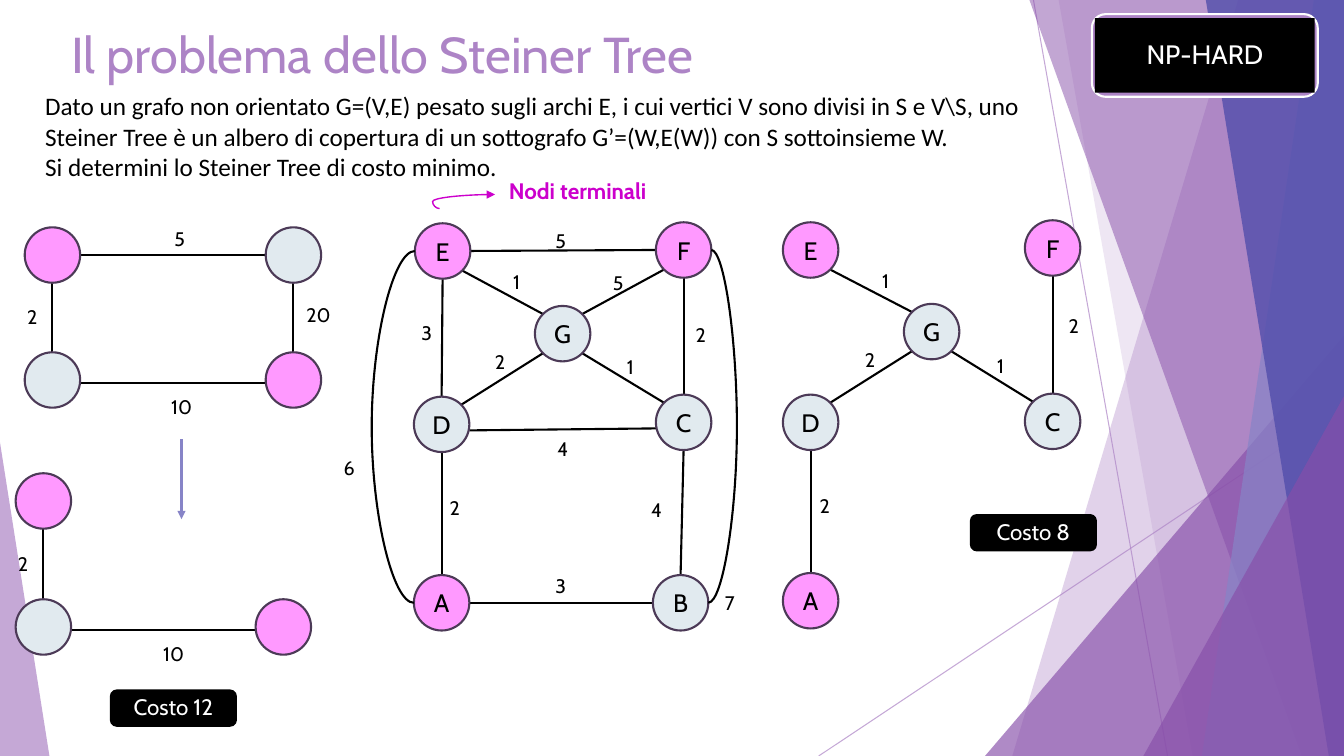
from dataclasses import dataclass
from math import hypot

from lxml import etree
from pptx import Presentation
from pptx.dml.color import RGBColor
from pptx.enum.shapes import MSO_CONNECTOR, MSO_SHAPE
from pptx.enum.text import MSO_ANCHOR, PP_ALIGN
from pptx.oxml.ns import qn
from pptx.util import Inches, Pt

STRAIGHT, CURVE = MSO_CONNECTOR.STRAIGHT, MSO_CONNECTOR.CURVE
OVAL, RECTANGLE = MSO_SHAPE.OVAL, MSO_SHAPE.RECTANGLE
ROUNDED, TRIANGLE = MSO_SHAPE.ROUNDED_RECTANGLE, MSO_SHAPE.ISOSCELES_TRIANGLE
LEFT, CENTER = PP_ALIGN.LEFT, PP_ALIGN.CENTER
TOP, MIDDLE = MSO_ANCHOR.TOP, MSO_ANCHOR.MIDDLE


@dataclass(frozen=True)
class Theme:
    lilac: str = "AD84C6"
    purple: str = "874EA9"
    periwinkle: str = "8784C7"
    indigo: str = "524EAB"
    terminal: str = "FF99FF"
    optional: str = "E1EAEF"
    rim: str = "4C3A57"
    accent: str = "CC00CC"
    black: str = "000000"
    white: str = "FFFFFF"
    font: str = "Cabin"
    body_font: str = "Calibri"
    title: int = 36
    hard: int = 19
    body: int = 18
    small: int = 16
    weight: int = 14


THEME = Theme()
WIDTH, HEIGHT, RADIUS = 13.33, 7.5, 0.275

# Nodes: name -> centre; edges: start, end, weight, label left, label top, drop
SQUARE = {"TL": (0.52, 2.53), "TR": (2.91, 2.53), "BL": (0.52, 3.77), "BR": (2.91, 3.77)}
SQUARE_EDGES = [
    ("TL", "TR", "5", 1.63, 2.2, 0), ("TL", "BL", "2", 0.17, 2.98, 0),
    ("TR", "BR", "20", 2.94, 2.96, 0), ("BL", "BR", "10", 1.6, 3.87, 0.03)]
SQUARE_TREE = {"TL": (0.43, 4.97), "BL": (0.43, 6.22), "BR": (2.81, 6.22)}
SQUARE_TREE_EDGES = [("TL", "BL", "2", 0.08, 5.43, 0), ("BL", "BR", "10", 1.52, 6.32, 0.03)]
GRAPH = {"E": (4.39, 2.49), "F": (6.78, 2.48), "G": (5.58, 3.31), "D": (4.38, 4.21),
         "C": (6.78, 4.19), "A": (4.38, 5.98), "B": (6.75, 5.98)}
GRAPH_EDGES = [
    ("E", "F", "5", 5.41, 2.22, 0), ("E", "G", "1", 4.99, 2.63, 0),
    ("F", "G", "5", 5.98, 2.64, 0), ("E", "D", "3", 4.08, 3.13, 0),
    ("F", "C", "2", 6.8, 3.15, 0), ("G", "D", "2", 4.81, 3.42, 0),
    ("G", "C", "1", 6.12, 3.47, 0), ("D", "C", "4", 5.43, 4.29, 0.06),
    ("D", "A", "2", 4.36, 4.87, 0), ("C", "B", "4", 6.36, 4.89, 0),
    ("A", "B", "3", 5.41, 5.64, 0)]
GRAPH_TREE = {"E": (8.04, 2.48), "F": (10.44, 2.46), "G": (9.24, 3.29),
              "D": (8.04, 4.19), "C": (10.44, 4.18), "A": (8.04, 5.96)}
GRAPH_TREE_EDGES = [
    ("E", "G", "1", 8.65, 2.62, 0), ("F", "C", "2", 10.5, 3.07, 0),
    ("G", "D", "2", 8.48, 3.4, 0), ("G", "C", "1", 9.79, 3.46, 0),
    ("D", "A", "2", 8.03, 4.85, 0)]
TERMINALS = {"E", "F", "A", "TL", "BR"}


def set_alpha(element, percent):
    color = next(element.iter(qn("a:srgbClr")))
    etree.SubElement(color, qn("a:alpha")).set("val", str(percent * 1000))


def paint(shape, fill, line=None, width=1.5, alpha=100):
    shape.shadow.inherit = False
    shape.fill.solid()
    shape.fill.fore_color.rgb = RGBColor.from_string(fill)
    if alpha < 100:
        set_alpha(shape.fill._xPr, alpha)
    if line:
        shape.line.color.rgb = RGBColor.from_string(line)
        shape.line.width = Pt(width)
    else:
        shape.line.fill.background()


def write(shape, text, size, color=THEME.black, font=THEME.font, bold=False,
          align=LEFT, anchor=TOP, wrap=True, spacing=None):
    frame = shape.text_frame
    frame.word_wrap = wrap
    frame.vertical_anchor = anchor
    frame.text = text
    for para in frame.paragraphs:
        para.alignment = align
        para.line_spacing = spacing
        for span in para.runs:
            span.font.size, span.font.name, span.font.bold = Pt(size), font, bold
            span.font.color.rgb = RGBColor.from_string(color)


def add_text(page, box, text, size, **style):
    write(page.shapes.add_textbox(*map(Inches, box)), text, size, **style)


def add_line(page, start, end, color=THEME.black, width=1.5, kind=STRAIGHT,
             arrow=False, alpha=100):
    line = page.shapes.add_connector(kind, *map(Inches, (*start, *end)))
    line.line.color.rgb = RGBColor.from_string(color)
    line.line.width = Pt(width)
    properties = line._element.spPr
    if alpha < 100:
        set_alpha(properties, alpha)
    if arrow:
        etree.SubElement(line.line._get_or_add_ln(), qn("a:tailEnd")).set("type", "triangle")
    etree.SubElement(properties, qn("a:effectLst"))
    return line


def add_curve(page, start, end, bulge_x, **style):
    """Curved line whose middle reaches bulge_x."""
    line = add_line(page, start, end, kind=CURVE, **style)
    share = (bulge_x - start[0]) / (end[0] - start[0])
    guides = line._element.spPr.find(qn("a:prstGeom")).get_or_add_avLst()
    guide = etree.SubElement(guides, qn("a:gd"))
    guide.set("name", "adj1")
    guide.set("fmla", f"val {round(share * 100000)}")


def add_band(page, points, color, alpha):
    corners = [(Inches(x), Inches(y)) for x, y in points]
    builder = page.shapes.build_freeform(*corners[0])
    builder.add_line_segments(corners[1:], close=True)
    paint(builder.convert_to_shape(), color, alpha=alpha)


def add_triangle(page, box, apex, color, alpha):
    triangle = page.shapes.add_shape(TRIANGLE, *map(Inches, box))
    triangle.adjustments[0] = apex
    paint(triangle, color, alpha=alpha)


def add_backdrop(page):
    for start, end in [((10.25, 0), (11.58, HEIGHT)), ((WIDTH, 4.03), (8.12, HEIGHT))]:
        add_line(page, start, end, THEME.lilac, 0.75, alpha=70)

    def band(top, bottom, color, alpha):
        corners = [(top, 0), (WIDTH, 0), (WIDTH, HEIGHT), (bottom, HEIGHT)]
        add_band(page, corners, color, alpha)

    band(12.28, 10.04, THEME.lilac, 36)
    band(10.5, 11.83, THEME.lilac, 20)
    add_triangle(page, (9.77, 3.33, 3.56, 4.17), 1, THEME.purple, 66)
    band(10.21, 12.91, THEME.purple, 50)
    band(13.03, 11.92, THEME.periwinkle, 70)
    band(11.96, 13.18, THEME.indigo, 80)
    add_triangle(page, (11.34, 3.93, 1.99, 3.57), 1, THEME.purple, 66)
    add_triangle(page, (0, 4.39, 0.49, 3.11), 0, THEME.lilac, 70)


def direction(delta):
    return 0 if abs(delta) < 0.5 else (1 if delta > 0 else -1)


def rim_point(center, across, down):
    reach = RADIUS / hypot(across, down)
    return center[0] + across * reach, center[1] + down * reach


def add_weight(page, text, left, top):
    add_text(page, (left, top, 0.69, 0.34), text, THEME.weight)


def add_graph(page, nodes, edges, named=True):
    for first, last, weight, left, top, drop in edges:
        across, down = (direction(b - a) for a, b in zip(nodes[first], nodes[last]))
        start = rim_point(nodes[first], across, down)
        end = rim_point(nodes[last], -across, -down)
        add_line(page, (start[0], start[1] + drop), (end[0], end[1] + drop))
        add_weight(page, weight, left, top)
    for name, (x, y) in nodes.items():
        box = (x - RADIUS, y - RADIUS, 2 * RADIUS, 2 * RADIUS)
        node = page.shapes.add_shape(OVAL, *map(Inches, box))
        paint(node, THEME.terminal if name in TERMINALS else THEME.optional, THEME.rim)
        if named:
            write(node, name, THEME.body, align=CENTER, anchor=MIDDLE)


def add_badge(page, outer, inner, text, size, fill=THEME.black, line=THEME.black):
    paint(page.shapes.add_shape(ROUNDED, *map(Inches, outer)), fill, line)
    plate = page.shapes.add_shape(RECTANGLE, *map(Inches, inner))
    paint(plate, THEME.black)
    frame = plate.text_frame
    frame.margin_left = frame.margin_right = Inches(0.08)
    frame.margin_top = frame.margin_bottom = Inches(0.04)
    write(plate, text, size, THEME.white, align=CENTER, anchor=MIDDLE, spacing=0.9)


def main():
    deck = Presentation()
    deck.slide_width, deck.slide_height = Inches(WIDTH), Inches(HEIGHT)
    page = deck.slides.add_slide(deck.slide_layouts[6])
    add_backdrop(page)

    # Title and definition
    add_text(page, (0.61, 0.18, 9.4, 1.44), "Il problema dello Steiner Tree",
             THEME.title, color=THEME.lilac)
    add_text(page, (0.35, 0.85, 10.07, 1.01),
             "Dato un grafo non orientato G=(V,E) pesato sugli archi E, i cui vertici V sono "
             "divisi in S e V\\S, uno Steiner Tree è un albero di copertura di un sottografo "
             "G’=(W,E(W)) con S sottoinsieme W.\nSi determini lo Steiner Tree di costo minimo.",
             THEME.body, font=THEME.body_font)

    # Square example and its tree
    add_graph(page, SQUARE, SQUARE_EDGES, named=False)
    add_line(page, (1.8, 4.36), (1.8, 5.15), THEME.periwinkle, arrow=True)
    add_graph(page, SQUARE_TREE, SQUARE_TREE_EDGES, named=False)

    # Seven-node example, its outer arcs and its tree
    add_graph(page, GRAPH, GRAPH_EDGES)
    for first, last, side, bulge_x, weight, left, top in [
            ("E", "A", -1, 3.68, "6", 3.31, 4.47), ("F", "B", 1, 7.31, "7", 7.09, 5.81)]:
        add_curve(page, rim_point(GRAPH[first], side, 0), rim_point(GRAPH[last], side, 0), bulge_x)
        add_weight(page, weight, left, top)
    add_graph(page, GRAPH_TREE, GRAPH_TREE_EDGES)

    # Badges
    add_badge(page, (10.83, 0.14, 2.24, 0.82), (10.86, 0.18, 2.18, 0.74), "NP-HARD",
              THEME.hard, THEME.lilac, THEME.white)
    for text, left, top in [("Costo 8", 9.63, 5.11), ("Costo 12", 1.1, 6.85)]:
        add_badge(page, (left, top, 1.24, 0.35), (left + 0.02, top + 0.02, 1.2, 0.32),
                  text, THEME.small)

    # Terminal nodes callout
    add_curve(page, (4.36, 2.07), (4.91, 1.93), 4.29, color=THEME.accent, width=1, arrow=True)
    add_text(page, (4.95, 1.71, 1.7, 0.37), "Nodi terminali", THEME.small,
             color=THEME.accent, bold=True, wrap=False)
    deck.save("out.pptx")


if __name__ == "__main__":
    main()
